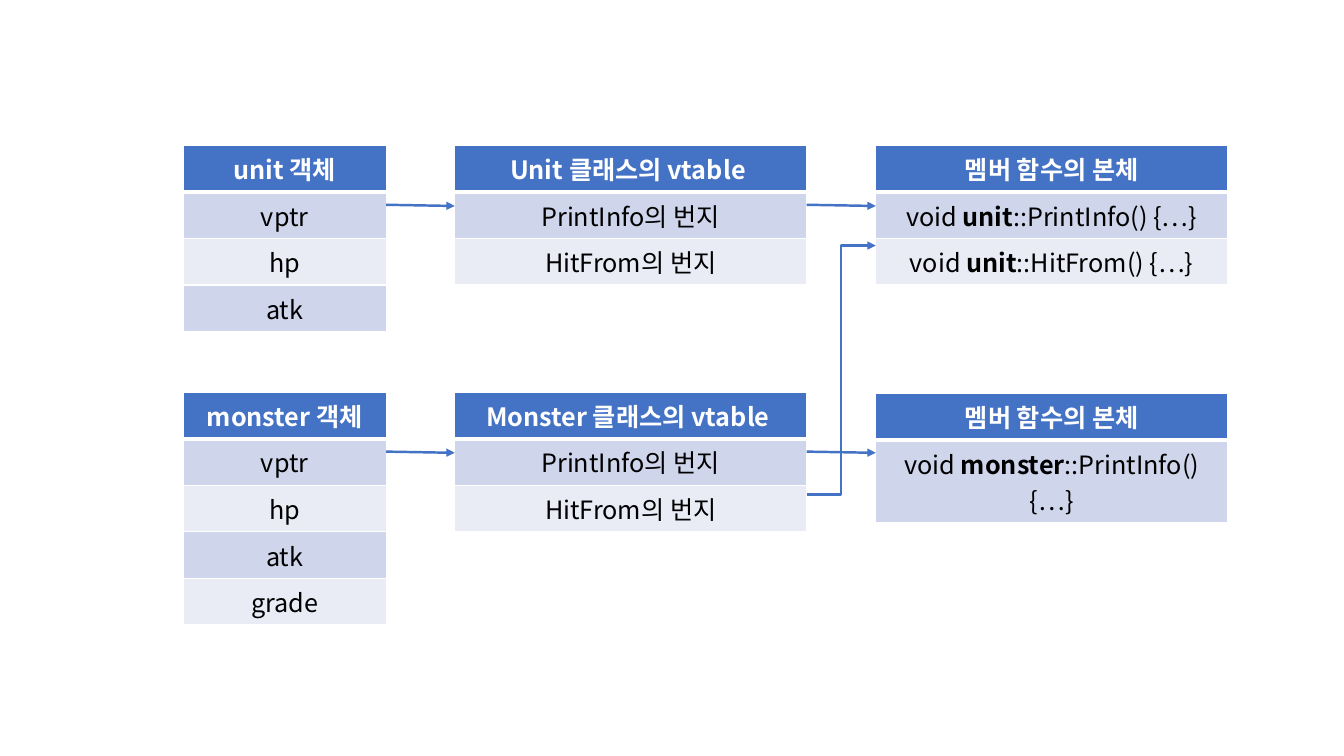
import pptx
import pptx.dml.color
import pptx.enum.shapes
import pptx.enum.text
import pptx.oxml
import pptx.oxml.ns
import pptx.util
from pptx.util import Cm

COLORS = {
    "accent": "4472C4",
    "band_dark": "CFD5EA",
    "band_light": "E9EBF5",
    "white": "FFFFFF",
    "black": "000000",
}
NS = pptx.oxml.ns.nsdecls("a")
STRAIGHT = pptx.enum.shapes.MSO_CONNECTOR.STRAIGHT
ELBOW = pptx.enum.shapes.MSO_CONNECTOR.ELBOW


def rgb(name):
    return pptx.dml.color.RGBColor.from_string(COLORS[name])


class VtableSlide:
    font = "Noto Sans CJK KR"
    text_size = 18
    line_width = 1.75
    row_height = 1.03

    def __init__(self, deck):
        self.slide = deck.slides.add_slide(deck.slide_layouts[6])

    def run(self, paragraph, text, color, bold):
        run = paragraph.add_run()
        run.text = text
        run.font.name = self.font
        run.font.size = pptx.util.Pt(self.text_size)
        run.font.bold = bold
        run.font.color.rgb = rgb(color)
        run.font._element.append(
            pptx.oxml.parse_xml(f'<a:ea {NS} typeface="{self.font}"/>'))

    def borders(self, cell, row):
        """White cell borders, with a thicker rule under the header."""
        widths = {"L": 1, "R": 1, "T": 3 if row == 1 else 1, "B": 3 if row == 0 else 1}
        properties = cell._tc.get_or_add_tcPr()
        for side, width in widths.items():
            properties.append(pptx.oxml.parse_xml(
                f'<a:ln{side} {NS} w="{pptx.util.Pt(width)}"><a:solidFill>'
                f'<a:srgbClr val="{COLORS["white"]}"/></a:solidFill></a:ln{side}>'))

    def table(self, left, top, width, rows):
        """Each row is a list of (text, bold) runs; the first is the header."""
        frame = self.slide.shapes.add_table(
            len(rows), 1, Cm(left), Cm(top), Cm(width), Cm(self.row_height * len(rows)))
        for index, runs in enumerate(rows):
            frame.table.rows[index].height = Cm(self.row_height)
            cell = frame.table.cell(index, 0)
            self.borders(cell, index)
            band = "band_dark" if index % 2 else "band_light"
            cell.fill.solid()
            cell.fill.fore_color.rgb = rgb(band if index else "accent")
            paragraph = cell.text_frame.paragraphs[0]
            paragraph.alignment = pptx.enum.text.PP_ALIGN.CENTER
            for text, bold in runs:
                self.run(paragraph, text, "black" if index else "white", bold)

    def arrow(self, kind, start, end):
        connector = self.slide.shapes.add_connector(
            kind, *(Cm(value) for value in start + end))
        connector.line.color.rgb = rgb("accent")
        connector.line.width = pptx.util.Pt(self.line_width)
        connector.line._get_or_add_ln().append(
            pptx.oxml.parse_xml(f'<a:tailEnd {NS} type="triangle"/>'))
        connector._element.spPr.append(pptx.oxml.parse_xml(f"<a:effectLst {NS}/>"))


def labelled(header, *entries):
    return [[(header, True)]] + [[(entry, False)] for entry in entries]


def functions(class_name, *signatures):
    bodies = [[("void ", False), (class_name, True), (f"::{signature} {{…}}", False)]
              for signature in signatures]
    return labelled("멤버 함수의 본체") + bodies


def main():
    deck = pptx.Presentation()
    deck.slide_width, deck.slide_height = Cm(33.87), Cm(19.05)
    diagram = VtableSlide(deck)

    object_left, vtable_left, body_left = 4.62, 11.46, 22.07
    object_width, wide = 5.11, 8.87
    object_right, vtable_right = object_left + object_width, vtable_left + wide
    addresses = ("PrintInfo의 번지", "HitFrom의 번지")
    classes = [
        (3.66, 3.66, labelled("unit 객체", "vptr", "hp", "atk"),
         "Unit 클래스의 vtable ", functions("unit", "PrintInfo()", "HitFrom()")),
        (9.88, 9.91, labelled("monster 객체", "vptr", "hp", "atk", "grade"),
         "Monster 클래스의 vtable ", functions("monster", "PrintInfo()")),
    ]
    for top, body_top, members, vtable_title, bodies in classes:
        diagram.table(object_left, top, object_width, members)
        diagram.table(vtable_left, top, wide, labelled(vtable_title, *addresses))
        diagram.table(body_left, body_top, wide, bodies)
        arrow_top = top + 1.5
        for start, end in ((object_right, vtable_left), (vtable_right, body_left)):
            diagram.arrow(STRAIGHT, (start, arrow_top), (end, arrow_top + 0.03))

    inherited_from, inherited_to = 12.46, 6.19
    diagram.arrow(ELBOW, (vtable_right, inherited_from), (body_left, inherited_to))
    deck.save("out.pptx")


if __name__ == "__main__":
    main()
